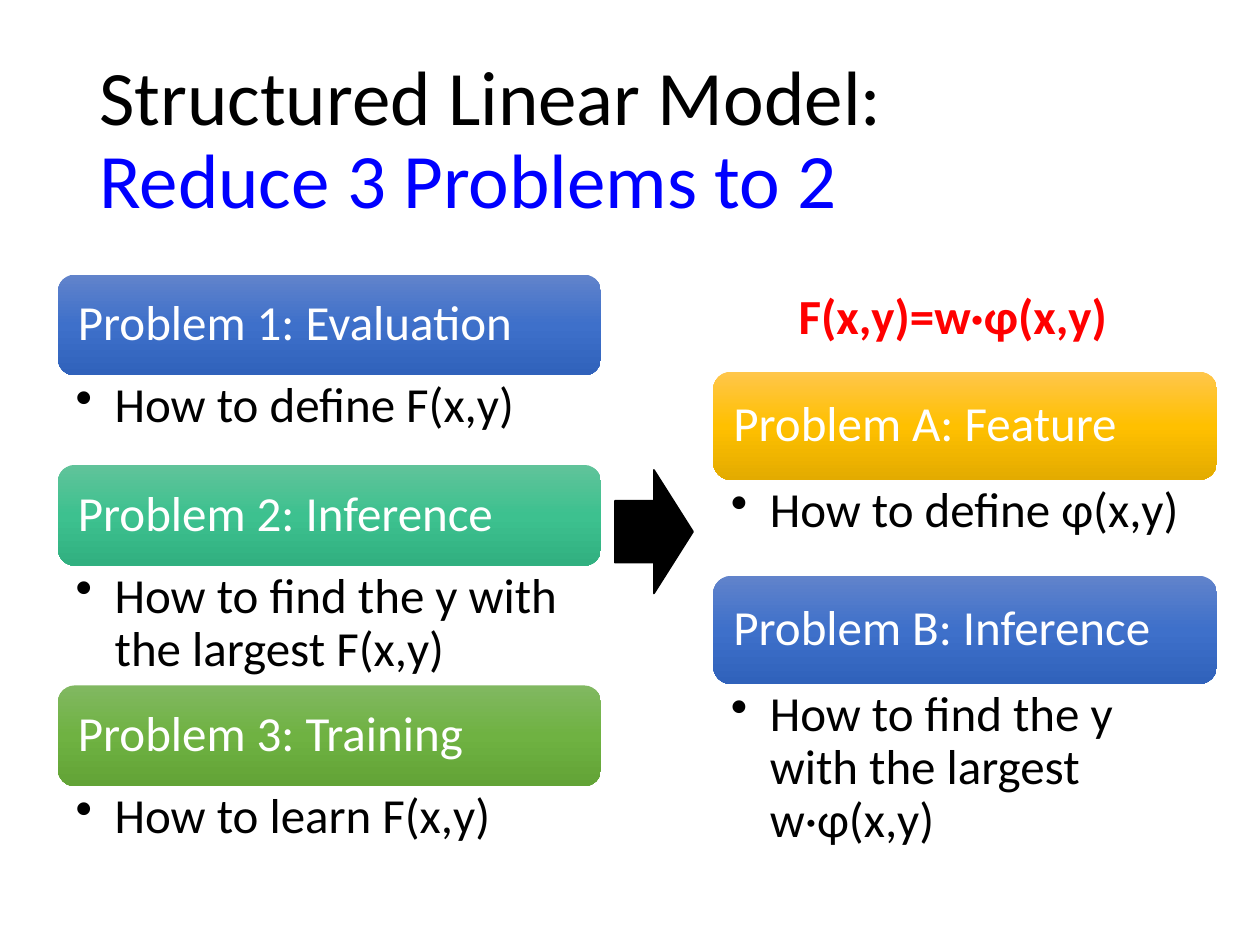
"""Build the slide that reduces three structured problems to two."""
from copy import deepcopy
from pptx import Presentation
from pptx import util as u
from pptx.dml import color
from pptx.enum import shapes, text
from pptx.oxml import ns, xmlchemy

HUES = {"black": "000000", "white": "FFFFFF", "blue": "0000FF", "red": "FF0000"}
FADES = {
    "blue": ("6183CB", "3E70CA", "3062BB"),
    "teal": ("60C39A", "3DC18F", "31B080"),
    "green": ("81B861", "6FB242", "62A336"),
    "gold": ("FFC64B", "FFC000", "E3AB00"),
}
COLS = [
    (0.46, 2.18, 4.31, 0.8, [
        ("Problem 1: Evaluation", "How to define F(x,y)", "blue", 0.71),
        ("Problem 2: Inference", "How to find the y with the largest F(x,y)", "teal", 0.95),
        ("Problem 3: Training", "How to learn F(x,y)", "green", 0.71),
    ]),
    (5.66, 2.95, 4, 0.86, [
        ("Problem A: Feature", "How to define φ(x,y)", "gold", 0.76),
        ("Problem B: Inference", "How to find the y with the largest w·φ(x,y)", "blue", 1.38),
    ]),
]


def write(para, words, hue, size=28, bold=False):
    run = para.add_run()
    run.text = words
    run.font.name = "Calibri"
    run.font.size = u.Pt(size)
    run.font.bold = bold
    run.font.color.rgb = color.RGBColor.from_string(HUES[hue])


def frame(shape, left, top, right):
    body = shape.text_frame
    body.word_wrap = True
    body.margin_left, body.margin_right = u.Inches(left), u.Inches(right)
    body.margin_top = body.margin_bottom = u.Inches(top)
    para = body.paragraphs[0]
    para.alignment = text.PP_ALIGN.LEFT
    para.line_spacing = 0.9
    return body, para


prs = Presentation()
prs.slide_width, prs.slide_height = u.Inches(10), u.Inches(7.5)
slide = prs.slides.add_slide(prs.slide_layouts[6])
draw = slide.shapes

title = draw.add_textbox(u.Inches(0.69), u.Inches(0.4), u.Inches(8.62), u.Inches(1.45))
body, para = frame(title, 0.1, 0.05, 0.1)
body.vertical_anchor = text.MSO_ANCHOR.MIDDLE
write(para, "Structured Linear Model:", "black", 44)
para.add_line_break()
write(para, "Reduce 3 Problems to 2", "blue", 44)

for left, top, width, tall, rows in COLS:
    for head, note, fade, depth in rows:
        bar = draw.add_shape(shapes.MSO_SHAPE.ROUNDED_RECTANGLE, u.Inches(left),
                             u.Inches(top), u.Inches(width), u.Inches(tall))
        bar.shadow.inherit = False
        bar.line.fill.background()
        bar.fill.gradient()
        bar.fill.gradient_angle = 270
        stops = bar._element.spPr.find(".//" + ns.qn("a:gsLst"))
        stops.append(deepcopy(stops[-1]))
        for stop, hue, spot in zip(bar.fill.gradient_stops, FADES[fade], (0, 0.5, 1)):
            stop.position = spot
            stop.color.rgb = color.RGBColor.from_string(hue)
        body, para = frame(bar, 0.12, 0.12, 0.12)
        body.vertical_anchor = text.MSO_ANCHOR.MIDDLE
        write(para, head, "white")

        box = draw.add_textbox(u.Inches(left), u.Inches(top + tall),
                               u.Inches(width), u.Inches(depth))
        body, para = frame(box, 0.14, 0.04, 0.22)
        props = para._p.get_or_add_pPr()
        props.set("marL", str(u.Inches(0.31)))
        props.set("indent", str(-u.Inches(0.31)))
        mark = xmlchemy.OxmlElement("a:buChar")
        mark.set("char", "•")
        props.append(mark)
        write(para, note, "black")
        top += tall + depth

arrow = draw.add_shape(shapes.MSO_SHAPE.RIGHT_ARROW, u.Inches(4.88), u.Inches(3.73),
                       u.Inches(0.62), u.Inches(0.98))
arrow.shadow.inherit = False
arrow.fill.solid()
arrow.fill.fore_color.rgb = color.RGBColor.from_string(HUES["black"])
arrow.line.color.rgb = color.RGBColor.from_string(HUES["black"])
arrow.line.width = u.Pt(1)

rule = draw.add_textbox(u.Inches(6.24), u.Inches(2.22), u.Inches(2.68), u.Inches(0.57))
rule.text_frame.word_wrap = False
rule.text_frame.auto_size = text.MSO_AUTO_SIZE.SHAPE_TO_FIT_TEXT
write(rule.text_frame.paragraphs[0], "F(x,y)=w·φ(x,y)", "red", bold=True)

prs.save("out.pptx")
